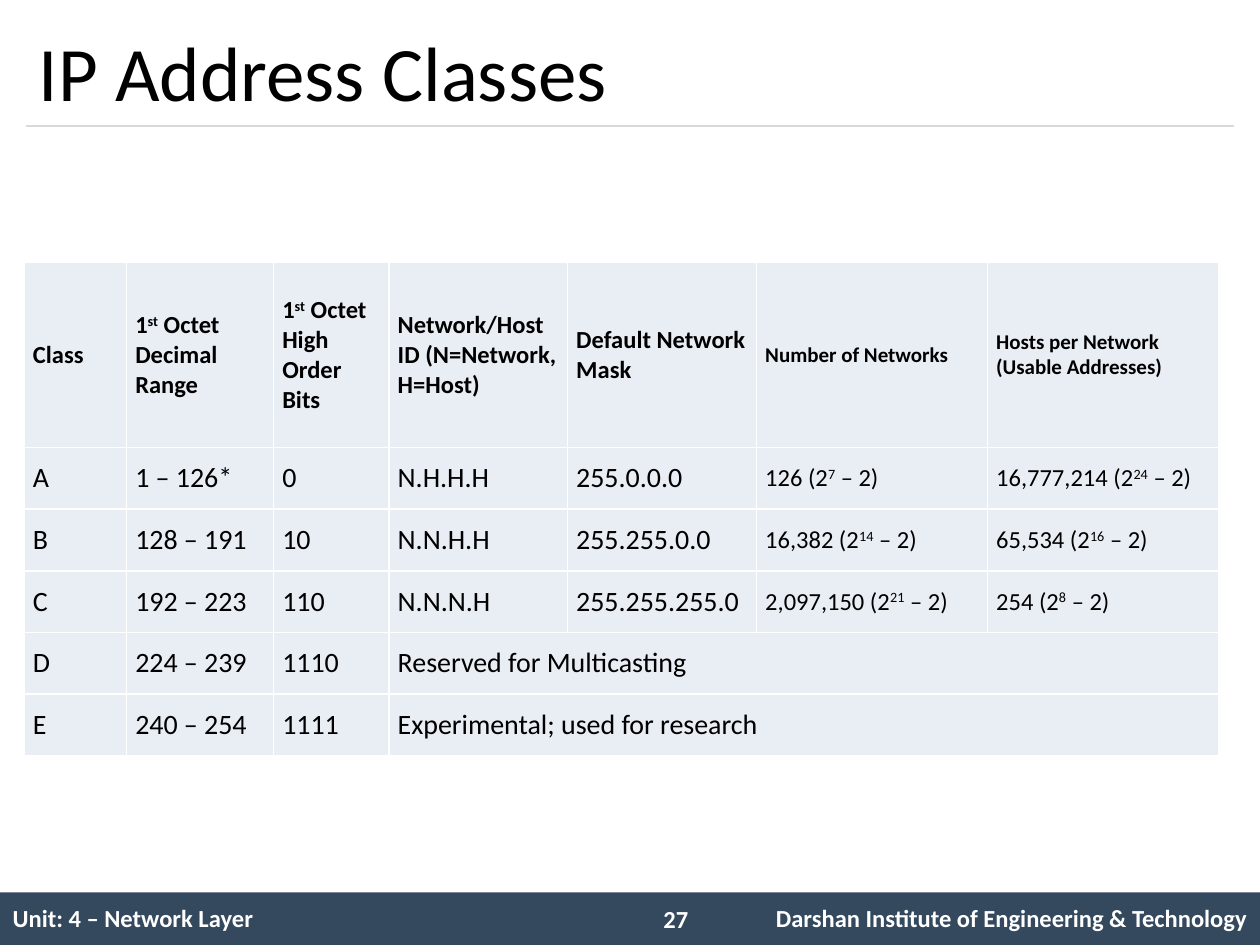
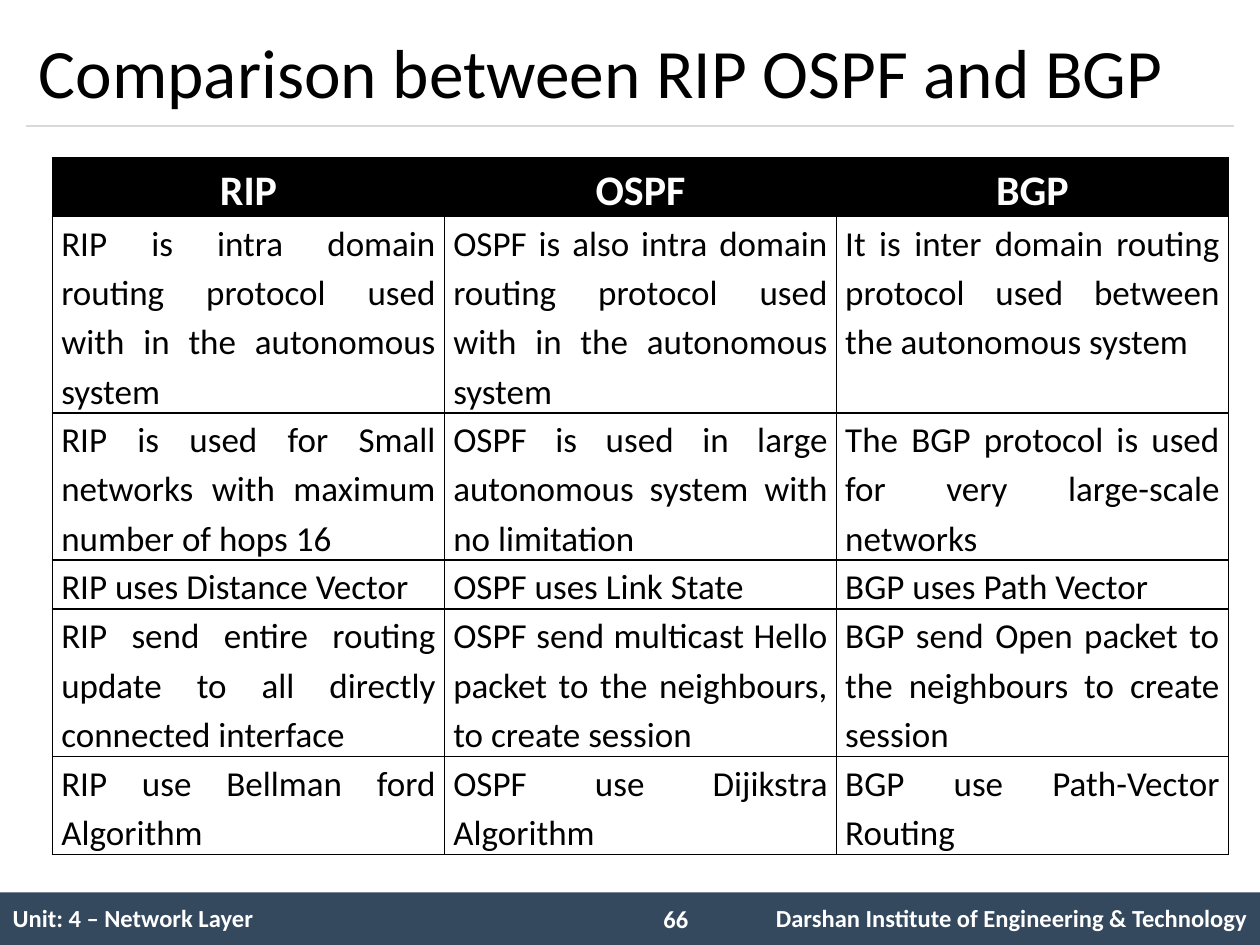
import dataclasses

import lxml.etree
import pptx
import pptx.dml.color
import pptx.enum.shapes
import pptx.enum.text
import pptx.oxml.ns
import pptx.util

COLS, ROWS = 48, 36
ALIGN = pptx.enum.text.PP_ALIGN
MID = pptx.enum.text.MSO_ANCHOR.MIDDLE
TOP = pptx.enum.text.MSO_ANCHOR.TOP
qn = pptx.oxml.ns.qn


@dataclasses.dataclass(frozen=True)
class Theme:
    face: str = "Calibri"
    ink: str = "000000"
    paper: str = "FFFFFF"
    band: str = "34495E"
    rule: str = "D9D9D9"
    pale: str = "E9EDF4"
    title: float = 44
    head: float = 24
    text: float = 20
    cell: float = 16
    small: float = 14


def tint(code):
    return pptx.dml.color.RGBColor.from_string(code)


def apply(item, form):
    for name, value in form.items():
        setattr(item, name, value)


class Deck:
    """Holds the theme, the file and the current slide, and draws on its grid."""

    def __init__(self, theme):
        self.theme = theme
        self.file = pptx.Presentation()
        self.file.slide_width = pptx.util.Inches(10)
        self.file.slide_height = pptx.util.Inches(7.5)
        self.slide = None

    def wide(self, cols):
        return round(self.file.slide_width * cols / COLS)

    def high(self, rows):
        return round(self.file.slide_height * rows / ROWS)

    def place(self, left, top, width, height):
        return self.wide(left), self.high(top), self.wide(width), self.high(height)

    def words(self, frame, text, size, color, bold=False, align=ALIGN.LEFT, gap=None):
        para = frame.paragraphs[0]
        apply(para, {"alignment": align, "line_spacing": gap})
        for turn, part in enumerate(text.split("^")):
            run = para.add_run()
            run.text = part
            apply(run.font, {"name": self.theme.face, "size": pptx.util.Pt(size), "bold": bold})
            run.font.color.rgb = tint(color)
            if turn % 2:
                run._r.get_or_add_rPr().set("baseline", "30000")

    def title(self, text, size):
        shape = self.slide.shapes.title
        spots = self.place(1, 0.6, 46, 4.2)
        apply(shape, dict(zip(("left", "top", "width", "height"), spots)))
        apply(shape.text_frame, {"vertical_anchor": MID, "word_wrap": True,
                                 "auto_size": pptx.enum.text.MSO_AUTO_SIZE.NONE})
        self.words(shape.text_frame, text, size, self.theme.ink)

    def bar(self, *spot):
        shape = self.slide.shapes.add_shape(
            pptx.enum.shapes.MSO_SHAPE.RECTANGLE, *self.place(*spot))
        shape.shadow.inherit = False
        shape.fill.solid()
        shape.fill.fore_color.rgb = tint(self.theme.band)
        shape.line.fill.background()

    def rule(self, left, right, row):
        line = self.slide.shapes.add_connector(
            pptx.enum.shapes.MSO_CONNECTOR.STRAIGHT, self.wide(left), self.high(row),
            self.wide(right), self.high(row))
        line.line.color.rgb = tint(self.theme.rule)
        line.line.width = pptx.util.Pt(0.75)
        lxml.etree.SubElement(line._element.spPr, qn("a:effectLst"))

    def label(self, text, *spot):
        frame = self.slide.shapes.add_textbox(*self.place(*spot)).text_frame
        frame.word_wrap = True
        self.words(frame, text, self.theme.small, self.theme.paper, True)

    def edge(self, cell, color):
        props = cell._tc.get_or_add_tcPr()
        for spot, side in enumerate(("a:lnL", "a:lnR", "a:lnT", "a:lnB")):
            line = lxml.etree.Element(qn(side), w=str(pptx.util.Pt(1)))
            props.insert(spot, line)
            if color:
                fill = lxml.etree.SubElement(line, qn("a:solidFill"))
                lxml.etree.SubElement(fill, qn("a:srgbClr"), val=color)
            else:
                lxml.etree.SubElement(line, qn("a:noFill"))

    def table(self, left, top, cols, rows, data, style, border=None, inset=None, anchor=MID):
        table = self.slide.shapes.add_table(
            len(rows), len(cols), *self.place(left, top, sum(cols), sum(rows))).table
        apply(table, {"first_row": False, "horz_banding": False})
        for col, width in zip(table.columns, cols):
            col.width = self.wide(width)
        for row, height in zip(table.rows, rows):
            row.height = self.high(height)
        for r, row in enumerate(data):
            if len(row) < len(cols):
                table.cell(r, len(row) - 1).merge(table.cell(r, len(cols) - 1))
            for c in range(len(cols)):
                cell = table.cell(r, c)
                fill, form = style(r, c)
                if fill:
                    cell.fill.solid()
                    cell.fill.fore_color.rgb = tint(fill)
                else:
                    cell.fill.background()
                self.edge(cell, border)
                cell.vertical_anchor = anchor
                if inset:
                    apply(cell, {"margin_left": inset, "margin_right": inset,
                                 "margin_top": 0, "margin_bottom": 0})
                if c < len(row) and row[c]:
                    self.words(cell.text_frame, row[c], **form)

    def start(self, title, number, size):
        self.slide = self.file.slides.add_slide(self.file.slide_layouts[5])
        self.bar(0, 34, COLS, 2)
        self.rule(1, 47, 4.8)
        self.table(0, 34, (24.4, 3.2, 20.4), (2.05,), [FOOT], self.foot)
        self.label(number, 24.8, 34.2, 2.8, 1.63)
        self.title(title, size)

    def foot(self, r, c):
        return None, {"size": self.theme.small, "color": self.theme.paper, "bold": True,
                      "align": ALIGN.RIGHT if c else ALIGN.LEFT}

    def plain(self, r, c):
        size = self.theme.cell if r else self.theme.small
        return self.theme.pale, {"size": size - 2 * (c > 4), "color": self.theme.ink,
                                 "bold": r == 0}

    def boxed(self, r, c):
        look = self.theme
        if r == 0:
            return look.ink, {"size": look.head, "color": look.paper, "bold": True,
                              "align": ALIGN.CENTER, "gap": 1.15}
        return None, {"size": look.text, "color": look.ink, "align": ALIGN.JUSTIFY, "gap": 1.15}


FOOT = ("Unit: 4 – Network Layer", "", "Darshan Institute of Engineering & Technology")

CLASSES = [
    ("Class", "1^st^ Octet Decimal Range", "1^st^ Octet High Order Bits",
     "Network/Host ID (N=Network, H=Host)", "Default Network Mask",
     "Number of Networks", "Hosts per Network (Usable Addresses)"),
    ("A", "1 – 126*", "0", "N.H.H.H", "255.0.0.0", "126 (2^7^ – 2)", "16,777,214 (2^24^ – 2)"),
    ("B", "128 – 191", "10", "N.N.H.H", "255.255.0.0", "16,382 (2^14^ – 2)",
     "65,534 (2^16^ – 2)"),
    ("C", "192 – 223", "110", "N.N.N.H", "255.255.255.0", "2,097,150 (2^21^ – 2)",
     "254 (2^8^ – 2)"),
    ("D", "224 – 239", "1110", "Reserved for Multicasting"),
    ("E", "240 – 254", "1111", "Experimental; used for research"),
]

ROUTING = [
    ("RIP", "OSPF", "BGP"),
    ("RIP is intra domain routing protocol used with in the autonomous system",
     "OSPF is also intra domain routing protocol used with in the autonomous system",
     "It is inter domain routing protocol used between the autonomous system"),
    ("RIP is used for Small networks with maximum number of hops 16",
     "OSPF is used in large autonomous system with no limitation",
     "The BGP protocol is used for very large-scale networks"),
    ("RIP uses Distance Vector", "OSPF uses Link State", "BGP uses Path Vector"),
    ("RIP send entire routing update to all directly connected interface",
     "OSPF send multicast Hello packet to the neighbours, to create session",
     "BGP send Open packet to the neighbours to create session"),
    ("RIP use Bellman ford Algorithm", "OSPF use Dijikstra Algorithm",
     "BGP use Path-Vector Routing"),
]


def main():
    look = Theme()
    deck = Deck(look)
    inset = pptx.util.Inches(0.07)

    deck.start("IP Address Classes", "27", look.title)
    deck.table(0.92, 10, (3.9, 5.6, 4.4, 6.8, 7.2, 8.8, 8.8), [7.05] + [2.35] * 5,
               CLASSES, deck.plain, look.paper, inset)

    deck.start("Comparison between RIP OSPF and BGP", "66", look.title * 0.9)
    lines = (4, 3, 1, 3, 2)
    deck.table(2, 6, [44.8 / 3] * 3, [2.25] + [1.87 * count for count in lines],
               ROUTING, deck.boxed, look.ink, inset, TOP)

    deck.file.save("out.pptx")


if __name__ == "__main__":
    main()
